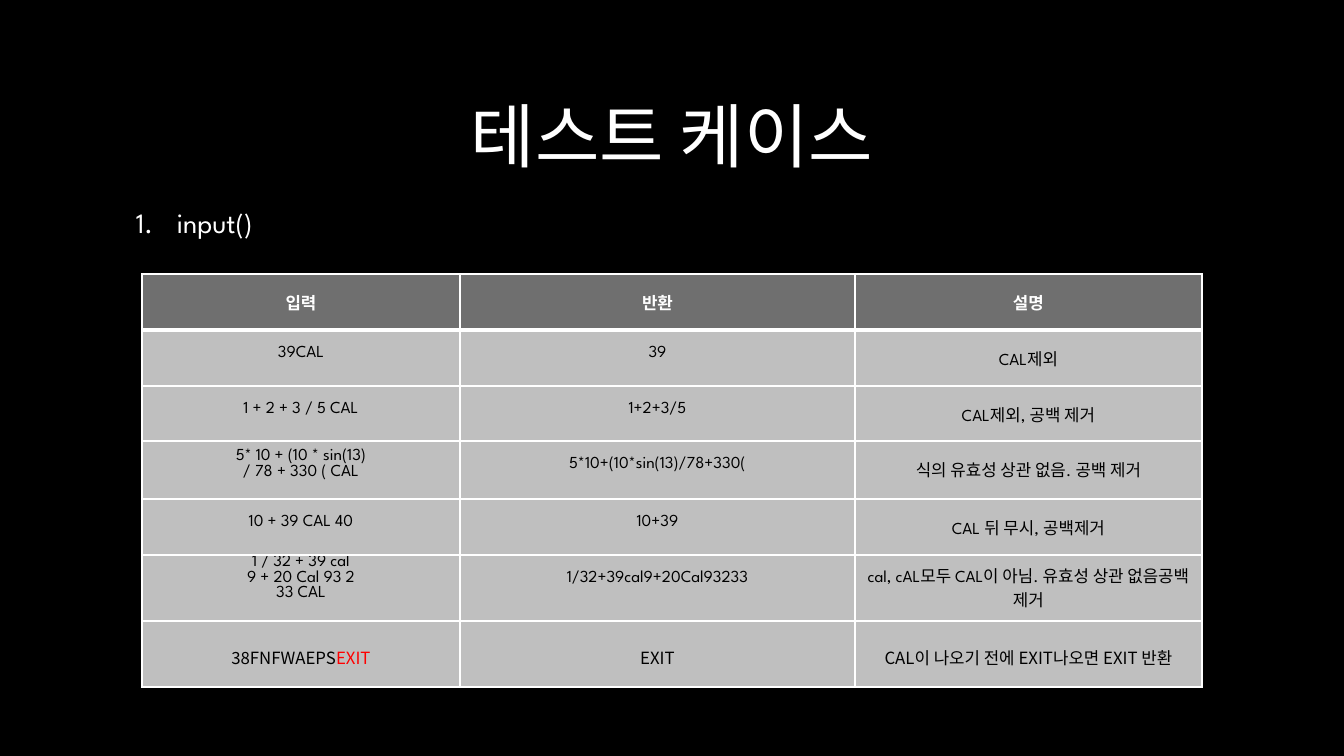
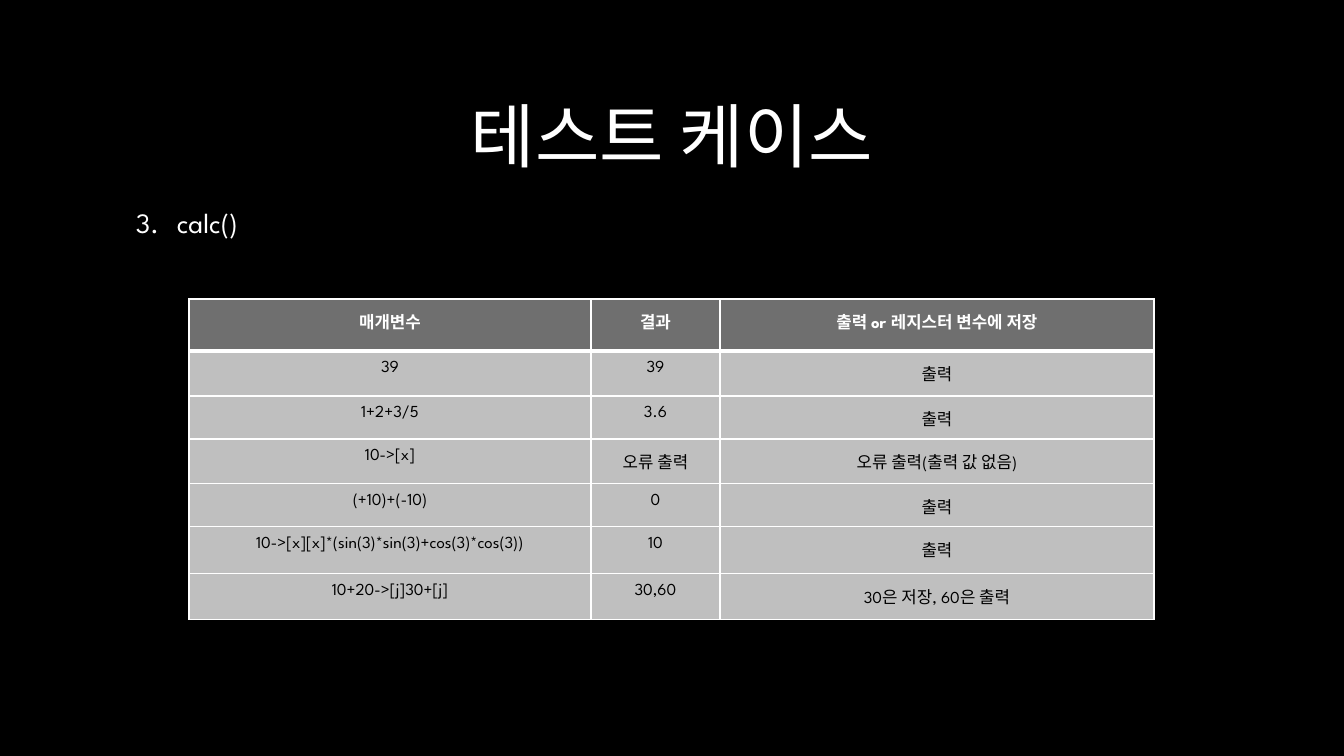
"""Build two dark slides with test case tables for a calculator."""
from dataclasses import dataclass

from lxml import etree
from pptx import Presentation
from pptx.dml.color import RGBColor
from pptx.enum.text import MSO_ANCHOR, PP_ALIGN
from pptx.oxml.ns import qn
from pptx.util import Pt

CENTER, LEFT = PP_ALIGN.CENTER, PP_ALIGN.LEFT
TOP, MIDDLE = MSO_ANCHOR.TOP, MSO_ANCHOR.MIDDLE
EMU_PER_PX = 914400 / 100.8
SLIDE_SIZE = (1344, 756)
BLANK_LAYOUT = 6


@dataclass(frozen=True)
class Theme:
    background: str = "000000"
    light: str = "FFFFFF"
    dark: str = "000000"
    accent: str = "FF0000"
    header_fill: str = "6F6F6F"
    body_fill: str = "BFBFBF"
    font: str = "League Spartan"
    korean_font: str = "Noto Sans CJK KR"
    title_size: int = 50
    heading_size: int = 20
    table_size: int = 12
    thin_line: int = 1
    thick_line: int = 3


THEME = Theme()
TITLE = "테스트 케이스"
TITLE_BOX = (126, 30, 1092, 210)
HEADING_BOX = (126, 194, 1092, 57)
HEADING_TAB = 41
CELL_SIDE = 7

SLIDES = [
    {
        "heading": "1.\tinput()",
        "origin": (142, 274),
        "columns": [318, 395, 347],
        "heights": [56, 56, 55, 58, 56, 66, 66],
        "top_gap": 16,
        "special_gaps": {(3, 0): 8, (5, 0): 0, (5, 2): 8, (6, 0): 24, (6, 1): 24, (6, 2): 24},
        "korean_font_rows": {6},
        "rows": [
            ("입력", "반환", "설명"),
            ("39CAL", "39", "CAL제외"),
            ("1 + 2 + 3 / 5 CAL", "1+2+3/5", "CAL제외, 공백 제거"),
            ("5* 10 + (10 * sin(13)\n/ 78 + 330 ( CAL", "5*10+(10*sin(13)/78+330(",
             "식의 유효성 상관 없음. 공백 제거"),
            ("10 + 39 CAL 40", "10+39", "CAL 뒤 무시, 공백제거"),
            ("1 / 32 + 39 cal\n9 + 20 Cal 93 2\n33 CAL", "1/32+39cal9+20Cal93233",
             "cal, cAL모두 CAL이 아님. 유효성 상관 없음공백 제거"),
            (("38FNFWAEPS", "EXIT"), "EXIT", "CAL이 나오기 전에 EXIT나오면 EXIT 반환"),
        ],
    },
    {
        "heading": "3.\tcalc()",
        "origin": (189, 299),
        "columns": [402, 129, 434],
        "heights": [52, 45, 43, 45, 43, 47, 46],
        "top_gap": 10,
        "special_gaps": {},
        "korean_font_rows": set(),
        "rows": [
            ("매개변수", "결과", "출력 or 레지스터 변수에 저장"),
            ("39", "39", "출력"),
            ("1+2+3/5", "3.6", "출력"),
            ("10->[x]", "오류 출력", "오류 출력(출력 값 없음)"),
            ("(+10)+(-10)", "0", "출력"),
            ("10->[x][x]*(sin(3)*sin(3)+cos(3)*cos(3))", "10", "출력"),
            ("10+20->[j]30+[j]", "30,60", "30은 저장, 60은 출력"),
        ],
    },
]


def px(length):
    return round(length * EMU_PER_PX)


def rgb(color):
    return RGBColor.from_string(color)


def style_paragraph(paragraph, size, color, align, bold=False, name=THEME.font):
    paragraph.alignment = align
    font = paragraph.font
    font.size, font.bold, font.name = Pt(size), bold, name
    font.color.rgb = rgb(color)
    properties = paragraph._p.pPr.find(qn("a:defRPr"))
    etree.SubElement(properties, qn("a:ea"), typeface=THEME.korean_font)


def add_text(slide, box, text, size, align):
    frame = slide.shapes.add_textbox(*map(px, box)).text_frame
    frame.word_wrap = True
    frame.vertical_anchor = MIDDLE
    paragraph = frame.paragraphs[0]
    paragraph.text = text
    style_paragraph(paragraph, size, THEME.light, align)
    return paragraph


def add_heading(slide, text):
    paragraph = add_text(slide, HEADING_BOX, text, THEME.heading_size, LEFT)
    paragraph.space_before, paragraph.space_after = Pt(4), Pt(6)
    tabs = etree.Element(qn("a:tabLst"))
    etree.SubElement(tabs, qn("a:tab"), pos=str(px(HEADING_TAB)), algn="l")
    paragraph._p.pPr.find(qn("a:defRPr")).addprevious(tabs)


def set_borders(cell, row):
    thick_side = {0: "lnB", 1: "lnT"}.get(row)
    properties = cell._tc.get_or_add_tcPr()
    for side in ("lnL", "lnR", "lnT", "lnB"):
        width = THEME.thick_line if side == thick_side else THEME.thin_line
        line = etree.SubElement(properties, qn(f"a:{side}"), w=str(Pt(width)))
        fill = etree.SubElement(line, qn("a:solidFill"))
        etree.SubElement(fill, qn("a:srgbClr"), val=THEME.light)


def fill_cell(cell, row, content, gap, font_name):
    is_header = row == 0
    set_borders(cell, row)
    cell.fill.solid()
    cell.fill.fore_color.rgb = rgb(THEME.header_fill if is_header else THEME.body_fill)
    cell.margin_left = cell.margin_right = px(CELL_SIDE)
    cell.margin_top, cell.margin_bottom = px(gap), 0
    cell.vertical_anchor = TOP
    text, accent = content if isinstance(content, tuple) else (content, None)
    cell.text_frame.text = text
    for paragraph in cell.text_frame.paragraphs:
        color = THEME.light if is_header else THEME.dark
        style_paragraph(paragraph, THEME.table_size, color, CENTER, is_header, font_name)
    if accent:
        run = paragraph.add_run()
        run.text = accent
        run.font.color.rgb = rgb(THEME.accent)


def add_case_table(slide, data):
    rows, columns, heights = data["rows"], data["columns"], data["heights"]
    box = (*data["origin"], sum(columns), sum(heights))
    table = slide.shapes.add_table(len(rows), len(columns), *map(px, box)).table
    table.horz_banding = False
    for column, width in zip(table.columns, columns):
        column.width = px(width)
    for row, contents in enumerate(rows):
        table.rows[row].height = px(heights[row])
        font_name = THEME.korean_font if row in data["korean_font_rows"] else THEME.font
        for column, content in enumerate(contents):
            gap = data["special_gaps"].get((row, column), data["top_gap"])
            fill_cell(table.cell(row, column), row, content, gap, font_name)


def main():
    presentation = Presentation()
    presentation.slide_width, presentation.slide_height = map(px, SLIDE_SIZE)
    background = presentation.slide_master.background.fill
    background.solid()
    background.fore_color.rgb = rgb(THEME.background)
    for data in SLIDES:
        slide = presentation.slides.add_slide(presentation.slide_layouts[BLANK_LAYOUT])
        add_text(slide, TITLE_BOX, TITLE, THEME.title_size, CENTER)
        add_heading(slide, data["heading"])
        add_case_table(slide, data)
    presentation.save("out.pptx")


if __name__ == "__main__":
    main()
